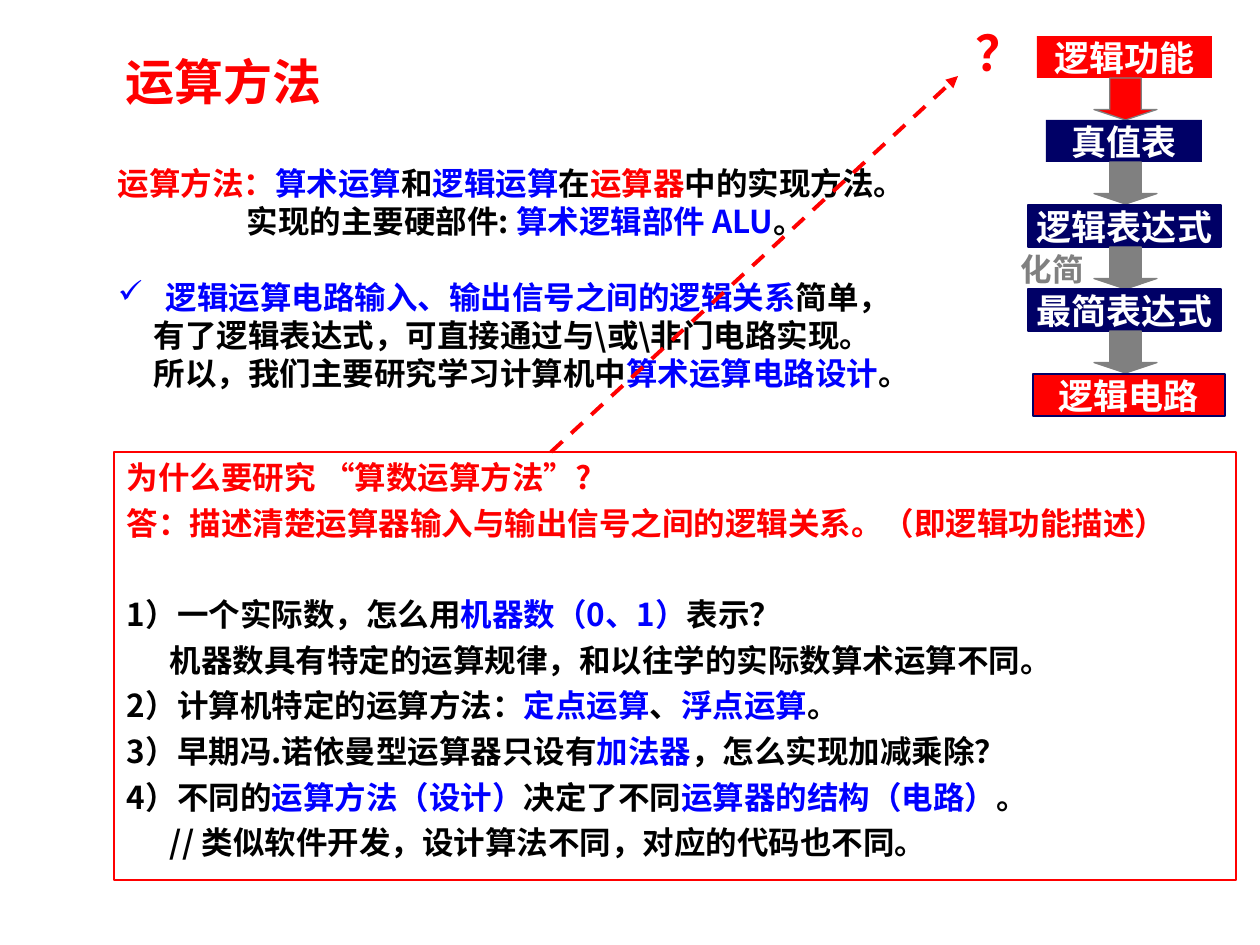
from dataclasses import dataclass
from typing import NamedTuple, Optional

from lxml.etree import SubElement
from pptx import Presentation
from pptx.dml.color import RGBColor
from pptx.enum.dml import MSO_LINE
from pptx.enum.shapes import MSO_CONNECTOR, MSO_SHAPE
from pptx.enum.text import MSO_ANCHOR, PP_ALIGN
from pptx.oxml.ns import qn
from pptx.util import Emu, Pt

PX = 914400 / 126


@dataclass(frozen=True)
class Theme:
    font: str = "Noto Sans CJK SC"
    red: str = "FF0000"
    blue: str = "0000FF"
    navy: str = "000066"
    gray: str = "808080"
    black: str = "000000"
    white: str = "FFFFFF"
    title_size: int = 28
    step_size: int = 20
    body_size: int = 18
    space: float = 4.5
    thin: float = 0.75
    thick: float = 2.25


THEME = Theme()


class Span(NamedTuple):
    text: str
    color: str = THEME.black


class Para(NamedTuple):
    spans: list[Span]
    indent: int = 0
    before: float = THEME.space
    bullet: str = ""


class Area(NamedTuple):
    left: int
    top: int
    width: int
    height: int


@dataclass(frozen=True)
class Step:
    label: str
    left: int
    width: int
    fill: str
    outline: Optional[str] = None


def red(text: str) -> Span:
    return Span(text, THEME.red)


def blue(text: str) -> Span:
    return Span(text, THEME.blue)


def px(value: int) -> Emu:
    return Emu(round(value * PX))


def rgb(color: str) -> RGBColor:
    return RGBColor.from_string(color)


def add_bullet(properties, char: str) -> None:
    color = SubElement(properties, qn("a:buClr"))
    SubElement(color, qn("a:srgbClr"), val=THEME.blue)
    SubElement(properties, qn("a:buChar"), char=char)


def write(frame, paras: list[Para], size: int, line_spacing: float = 1.0,
          align: PP_ALIGN = PP_ALIGN.LEFT, margins: tuple[int, int] = (13, 6),
          wrap: bool = True) -> None:
    frame.word_wrap = wrap
    frame.vertical_anchor = MSO_ANCHOR.TOP
    frame.margin_left = frame.margin_right = px(margins[0])
    frame.margin_top = frame.margin_bottom = px(margins[1])
    for index, item in enumerate(paras):
        para = frame.paragraphs[0] if index == 0 else frame.add_paragraph()
        properties = para._p.get_or_add_pPr()
        properties.set("marL", str(px(item.indent)))
        properties.set("indent", str(px(-item.indent if item.bullet else 0)))
        if item.bullet:
            add_bullet(properties, item.bullet)
        para.alignment = align
        para.line_spacing = line_spacing
        para.space_before = Pt(item.before if index else 0)
        for span in item.spans:
            run = para.add_run()
            run.text = span.text
            run.font.size = Pt(size)
            run.font.bold = True
            run.font.color.rgb = rgb(span.color)
            run.font.name = THEME.font
            SubElement(run._r.get_or_add_rPr(), qn("a:ea"), typeface=THEME.font)


def add_text(page, area: Area, paras: list[Para], size: int, **options) -> None:
    box = page.shapes.add_textbox(*map(px, area))
    write(box.text_frame, paras, size, **options)


def add_block(page, kind: MSO_SHAPE, area: Area, fill: Optional[str],
              outline: Optional[str]):
    """Add a preset shape; None leaves out its fill or its outline."""
    shape = page.shapes.add_shape(kind, *map(px, area))
    shape.shadow.inherit = False
    for paint, color in ((shape.fill, fill), (shape.line.fill, outline)):
        if color:
            paint.solid()
            paint.fore_color.rgb = rgb(color)
        else:
            paint.background()
    if outline:
        shape.line.width = Pt(THEME.thin)
    return shape


def add_dashed_arrow(page, start: tuple[int, int], end: tuple[int, int]) -> None:
    arrow = page.shapes.add_connector(MSO_CONNECTOR.STRAIGHT, *map(px, start + end))
    arrow.line.color.rgb = rgb(THEME.red)
    arrow.line.width = Pt(THEME.thick)
    arrow.line.dash_style = MSO_LINE.DASH
    SubElement(arrow.line._get_or_add_ln(), qn("a:tailEnd"), type="triangle")
    SubElement(arrow._element.spPr, qn("a:effectLst"))


STEPS = [
    Step("逻辑功能", 1037, 175, THEME.red),
    Step("真值表", 1046, 156, THEME.navy),
    Step("逻辑表达式", 1028, 193, THEME.navy, THEME.navy),
    Step("最简表达式", 1028, 193, THEME.navy, THEME.navy),
    Step("逻辑电路", 1033, 192, THEME.red, THEME.navy),
]
FIRST_TOP, LAST_TOP, STEP_HEIGHT = 36, 374, 42

INTRO = [
    Para([red("运算方法："), blue("算术运算"), Span("和"), blue("逻辑运算"),
          Span("在"), red("运算器"), Span("中的实现方法。")]),
    Para([Span("实现的主要硬部件: "), blue("算术逻辑部件 ALU"), Span("。")], indent=129),
    Para([blue("逻辑运算电路输入、输出信号之间的逻辑关系"), Span("简单，")],
         indent=48, before=26.3, bullet="✓"),
    Para([Span("有了逻辑表达式，可直接通过与\\或\\非门电路实现。")], indent=36),
    Para([Span("所以，我们主要研究学习计算机中"), blue("算术运算电路设计"), Span("。")],
         indent=36),
]

REASONS = [
    Para([red("为什么要研究 “算数运算方法”?")]),
    Para([red("答：描述清楚运算器输入与输出信号之间的逻辑关系。（即逻辑功能描述）")]),
    Para([Span("1）一个实际数，怎么用"), blue("机器数（0、1）"), Span("表示？")],
         before=30.6),
    Para([Span("机器数具有特定的运算规律，和以往学的实际数算术运算不同。")], indent=43),
    Para([Span("2）计算机特定的运算方法："), blue("定点运算"), Span("、"),
          blue("浮点运算"), Span("。")]),
    Para([Span("3）早期冯.诺依曼型运算器只设有"), blue("加法器"),
          Span("，怎么实现加减乘除？")]),
    Para([Span("4）不同的"), blue("运算方法（设计）"), Span("决定了不同"),
          blue("运算器的结构（电路）"), Span("。")]),
    Para([Span("// 类似软件开发，设计算法不同，对应的代码也不同。")], indent=43),
]


def add_flow(page) -> None:
    gaps = len(STEPS) - 1
    for index, step in enumerate(STEPS):
        top = FIRST_TOP + (LAST_TOP - FIRST_TOP) * index // gaps
        box = add_block(page, MSO_SHAPE.RECTANGLE,
                        Area(step.left, top, step.width, STEP_HEIGHT),
                        step.fill, step.outline)
        write(box.text_frame, [Para([Span(step.label, THEME.white)])], THEME.step_size,
              align=PP_ALIGN.CENTER, margins=(0, 0), wrap=False)
        if index < gaps:
            add_block(page, MSO_SHAPE.DOWN_ARROW,
                      Area(1094, top + STEP_HEIGHT, 63, STEP_HEIGHT),
                      THEME.gray if index else THEME.red, THEME.gray).adjustments[1] = 0.25


def main() -> None:
    deck = Presentation()
    deck.slide_width, deck.slide_height = px(1260), px(945)
    page = deck.slides.add_slide(deck.slide_layouts[6])
    add_text(page, Area(113, 45, 665, 72), [Para([red("运算方法")])], THEME.title_size)
    add_text(page, Area(105, 165, 1134, 238), INTRO, THEME.body_size, line_spacing=0.8)
    reasons = add_block(page, MSO_SHAPE.RECTANGLE, Area(114, 452, 1122, 428),
                        None, THEME.red)
    write(reasons.text_frame, REASONS, THEME.body_size)
    add_flow(page)
    add_text(page, Area(1021, 250, 179, 38), [Para([Span("化简", THEME.gray)])],
             THEME.body_size, margins=(0, 0))
    add_text(page, Area(963, 16, 74, 72), [Para([red("？")])], THEME.title_size, wrap=False)
    add_dashed_arrow(page, (551, 452), (958, 76))
    deck.save("out.pptx")


if __name__ == "__main__":
    main()
